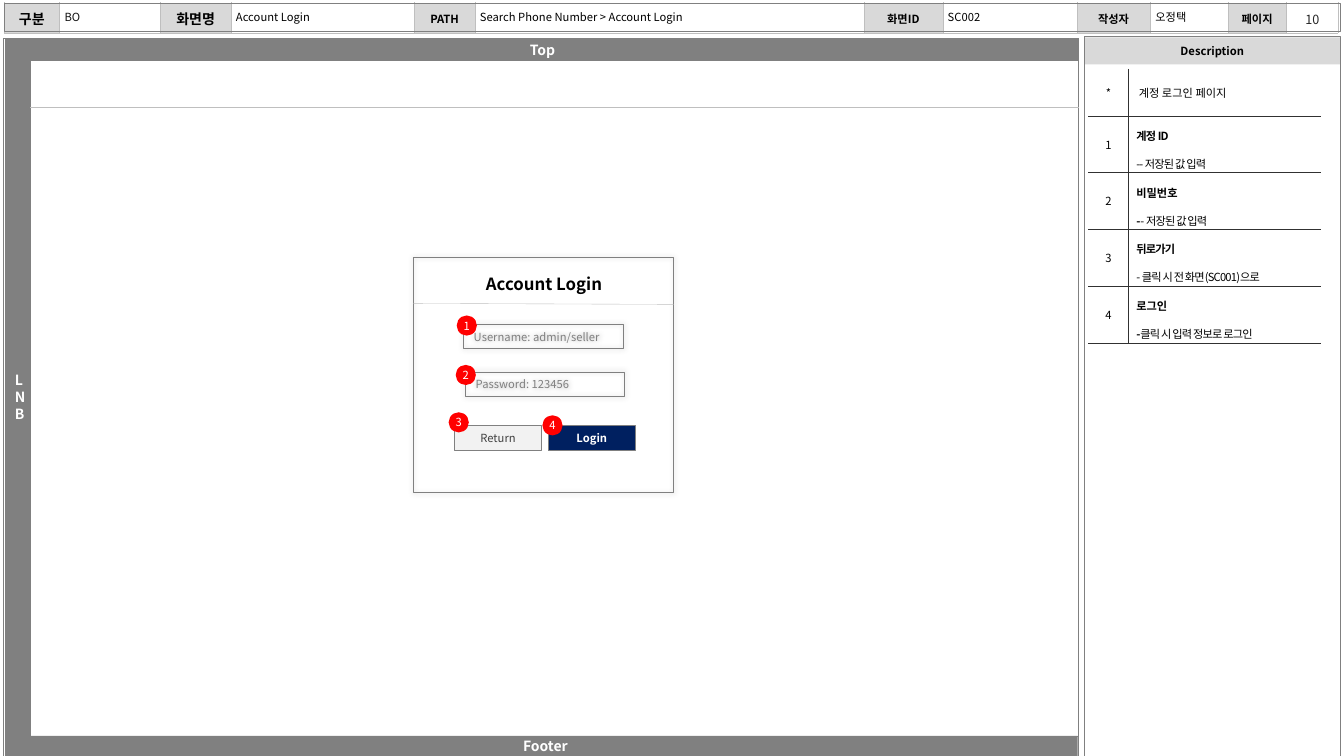
from dataclasses import dataclass
from itertools import accumulate

from lxml import etree
from pptx import Presentation
from pptx.dml.color import RGBColor
from pptx.enum.shapes import MSO_CONNECTOR, MSO_SHAPE as Shape
from pptx.enum.text import MSO_ANCHOR as Anchor, PP_ALIGN as Align
from pptx.oxml import parse_xml
from pptx.oxml.ns import nsdecls, qn
from pptx.util import Inches, Pt

FONT = "Noto Sans CJK KR"
COLORS = {
    "white": "FFFFFF", "black": "000000", "frame": "808080", "label": "D9D9D9",
    "rule": "BFBFBF", "table_rule": "313131", "page": "262626", "bo": "111111",
    "navy": "002060", "light": "F2F2F2", "button_text": "404040", "badge": "FF0000",
}
HEADER = [  # label, label size, label width, value, value width
    ("구분", 10, 0.55, "BO", 1.0),
    ("화면명", 10, 0.7, "Account Login", 1.82),
    ("PATH", 8, 0.6, "Search Phone Number > Account Login", 3.86),
    ("화면ID", 8, 0.78, "SC002", 1.33),
    ("작성자", 8, 0.73, "오정택", 0.77),
    ("페이지", 8, 0.58, "10", 0.51),
]
TIGHT = -0.6
DESCRIPTIONS = [  # title, title spacing, bold lead, remaining text
    ("계정 ID", TIGHT, "", "-- 저장된 값 입력"),
    ("비밀번호", 0, "-", "- 저장된 값 입력"),
    ("뒤로가기", TIGHT, "", "- 클릭 시 전 화면(SC001)으로"),
    ("로그인", 0, "-", "클릭 시 입력 정보로 로그인"),
]


@dataclass
class Box:
    left: float
    top: float
    width: float
    height: float

    def inner(self, left, top, width, height):
        """Return a box offset from this one's top left corner."""
        return Box(self.left + left, self.top + top, width, height)

    def lengths(self):
        return [Inches(n) for n in (self.left, self.top, self.width, self.height)]


def rgb(name):
    return RGBColor.from_string(COLORS[name])


def style_run(run, size=8, color="black", bold=False, spacing=0):
    run.font.name = FONT
    run.font.size = Pt(size)
    run.font.bold = bold
    run.font.color.rgb = rgb(color)
    properties = run._r.get_or_add_rPr()
    etree.SubElement(properties, qn("a:ea")).set("typeface", FONT)
    if spacing:
        properties.set("spc", str(round(spacing * 100)))


def write(frame, text, align=Align.LEFT, **style):
    frame.text = text
    frame.paragraphs[0].alignment = align
    for run in frame.paragraphs[0].runs:
        style_run(run, **style)


def set_margins(target, horizontal, vertical):
    target.margin_left = target.margin_right = Inches(horizontal)
    target.margin_top = target.margin_bottom = Inches(vertical)


def add_box(slide, box, fill=None, line="frame", weight=0.5, kind=Shape.RECTANGLE,
            text="", align=Align.CENTER, margins=(0, 0.04), glow=False, **style):
    shape = slide.shapes.add_shape(kind, *box.lengths())
    shape.shadow.inherit = False
    if fill:
        shape.fill.solid()
        shape.fill.fore_color.rgb = rgb(fill)
    else:
        shape.fill.background()
    if line:
        shape.line.color.rgb = rgb(line)
        shape.line.width = Pt(weight)
    else:
        shape.line.fill.background()
    if glow:
        effects = shape._element.spPr.find(qn("a:effectLst"))
        effects.append(parse_xml(
            f'<a:outerShdw {nsdecls("a")} blurRad="{Pt(4)}" dist="0" dir="0" algn="ctr" '
            'rotWithShape="0"><a:srgbClr val="000000"><a:alpha val="30000"/>'
            '</a:srgbClr></a:outerShdw>'))
    if text:
        frame = shape.text_frame
        frame.vertical_anchor = Anchor.MIDDLE
        set_margins(frame, *margins)
        write(frame, text, align, **style)
    return shape


def add_label(slide, box, text, align=Align.LEFT, anchor=Anchor.TOP, wrap=True, **style):
    frame = slide.shapes.add_textbox(*box.lengths()).text_frame
    frame.word_wrap = wrap
    frame.vertical_anchor = anchor
    set_margins(frame, 0.05, 0.05)
    write(frame, text, align, **style)


def add_rule(slide, start, end):
    points = [Inches(n) for n in (*start, *end)]
    rule = slide.shapes.add_connector(MSO_CONNECTOR.STRAIGHT, *points)
    rule.line.color.rgb = rgb("rule")
    rule.line.width = Pt(0.25)
    etree.SubElement(rule._element.spPr, qn("a:effectLst"))


def add_grid(slide, box, columns, rows):
    table = slide.shapes.add_table(len(rows), len(columns), *box.lengths()).table
    table.first_row = table.horz_banding = False
    for column, width in zip(table.columns, columns):
        column.width = Inches(width)
    for row, height in zip(table.rows, rows):
        row.height = Inches(height)
    return table


def style_cell(cell, fill, margins, **borders):
    """Set fill, margins and borders; each border is a colour name."""
    cell.vertical_anchor = Anchor.MIDDLE
    set_margins(cell, *margins)
    properties = cell._tc.get_or_add_tcPr()
    for side in ("L", "R", "T", "B"):
        color = borders[side]
        width = Pt(1 if color == "white" else 0.25)
        properties.append(parse_xml(
            f'<a:ln{side} {nsdecls("a")} w="{width}"><a:solidFill>'
            f'<a:srgbClr val="{COLORS[color]}"/></a:solidFill></a:ln{side}>'))
    if fill:
        cell.fill.solid()
        cell.fill.fore_color.rgb = rgb(fill)
    else:
        cell.fill.background()


def build_header(slide, box):
    widths = [width for _, _, label, _, value in HEADER for width in (label, value)]
    table = add_grid(slide, box, widths, [box.height])
    edges = [0, *accumulate(widths)]
    for index, cell in enumerate(table.rows[0].cells):
        label, size, _, value, width = HEADER[index // 2]
        is_label = index % 2 == 0
        write(cell.text_frame, label if is_label else "", Align.CENTER, size=size, bold=True)
        cell.text_frame.paragraphs[0].font.size = Pt(size)
        style_cell(cell, "label" if is_label else None, (0.05, 0.05),
                   L="rule", R="rule", T="white", B="rule")
        if is_label:
            continue
        left = edges[index]
        if value == "10":
            add_label(slide, box.inner(left, 0.02, width, 0.28), value, Align.CENTER,
                      Anchor.MIDDLE, size=9, color="page")
        else:
            add_label(slide, box.inner(left, 0.02, width, 0.24), value,
                      color="bo" if value == "BO" else "black")
    add_box(slide, box)


def build_screen_frame(slide, box):
    band = dict(fill="frame", weight=0.25, size=10, color="white", bold=True)
    add_box(slide, box, fill="white")
    side = add_box(slide, box.inner(0.02, 0, 0.25, box.height), text="LNB",
                   align=Align.LEFT, **band)
    side.text_frame.margin_left = Inches(0.1)
    side.text_frame.word_wrap = True
    add_box(slide, box.inner(0.1, box.height - 0.2, box.width - 0.11, 0.2), text="Footer", **band)
    add_box(slide, box.inner(0.04, 0, box.width - 0.05, 0.22), text="Top", **band)
    line_top = box.top + 0.68
    add_rule(slide, (box.left + 0.27, line_top), (box.left + box.width, line_top))


def build_login_card(slide, box):
    add_box(slide, box, glow=True)
    add_label(slide, box.inner(0.67, 0.12, 1.26, 0.3), "Account Login", wrap=False,
              size=12, bold=True)
    add_rule(slide, (box.left, box.top + 0.46), (box.left + box.width, box.top + 0.47))
    field = dict(align=Align.LEFT, margins=(0.1, 0.05), glow=True, color="frame")
    controls = [  # place in card, badge offset, text, style
        (box.inner(0.5, 0.67, 1.58, 0.24), (-0.07, -0.09), "Username: admin/seller", field),
        (box.inner(0.52, 1.14, 1.57, 0.24), (-0.1, -0.07), "Password: 123456", field),
        (box.inner(0.41, 1.67, 0.86, 0.25), (-0.06, -0.13), "Return",
         dict(fill="light", color="button_text")),
        (box.inner(1.34, 1.67, 0.86, 0.25), (-0.06, -0.1), "Login",
         dict(fill="navy", color="white", bold=True)),
    ]
    for number, (place, offset, text, style) in enumerate(controls, 1):
        control = add_box(slide, place, text=text, **style)
        control.text_frame.word_wrap = style is not field
        add_box(slide, place.inner(*offset, 0.2, 0.2), fill="badge", line=None,
                kind=Shape.OVAL, text=str(number), color="white")


def build_description(slide, box):
    add_box(slide, box.inner(0, 0.01, box.width, 0.27), fill="label", line=None,
            text="Description", bold=True)
    add_box(slide, box)
    rows = [0.46] + [0.56] * len(DESCRIPTIONS)
    table = add_grid(slide, box.inner(0.04, 0.33, 2.3, sum(rows)), [0.39, 1.91], rows)
    for index in range(len(rows)):
        number, detail = table.rows[index].cells
        top = "table_rule" if index else "white"
        style_cell(number, "white", (0.08, 0.08), L="white", R="table_rule", T=top, B="table_rule")
        style_cell(detail, "white", (0.08, 0.08), L="table_rule", R="white", T=top, B="table_rule")
        write(number.text_frame, str(index) if index else "*", Align.CENTER)
        number.text_frame.paragraphs[0].space_after = Pt(6)
        if index == 0:
            write(detail.text_frame, " 계정 로그인 페이지")
            continue
        title, spacing, lead, rest = DESCRIPTIONS[index - 1]
        write(detail.text_frame, title, bold=True, spacing=spacing)
        action = detail.text_frame.add_paragraph()
        for text, bold in ((lead, True), (rest, False)):
            if text:
                run = action.add_run()
                run.text = text
                style_run(run, bold=bold, spacing=TIGHT)
        for paragraph in detail.text_frame.paragraphs:
            paragraph.line_spacing = 1.2
            paragraph.space_after = Pt(6)


def main():
    presentation = Presentation()
    presentation.slide_width, presentation.slide_height = Inches(13.33), Inches(7.5)
    slide = presentation.slides.add_slide(presentation.slide_layouts[6])
    build_screen_frame(slide, Box(0.03, 0.38, 10.67, 7.12))
    build_header(slide, Box(0.04, 0.03, 13.25, 0.28))
    build_login_card(slide, Box(4.1, 2.55, 2.58, 2.34))
    build_description(slide, Box(10.76, 0.36, 2.53, 7.14))
    presentation.save("out.pptx")


if __name__ == "__main__":
    main()
